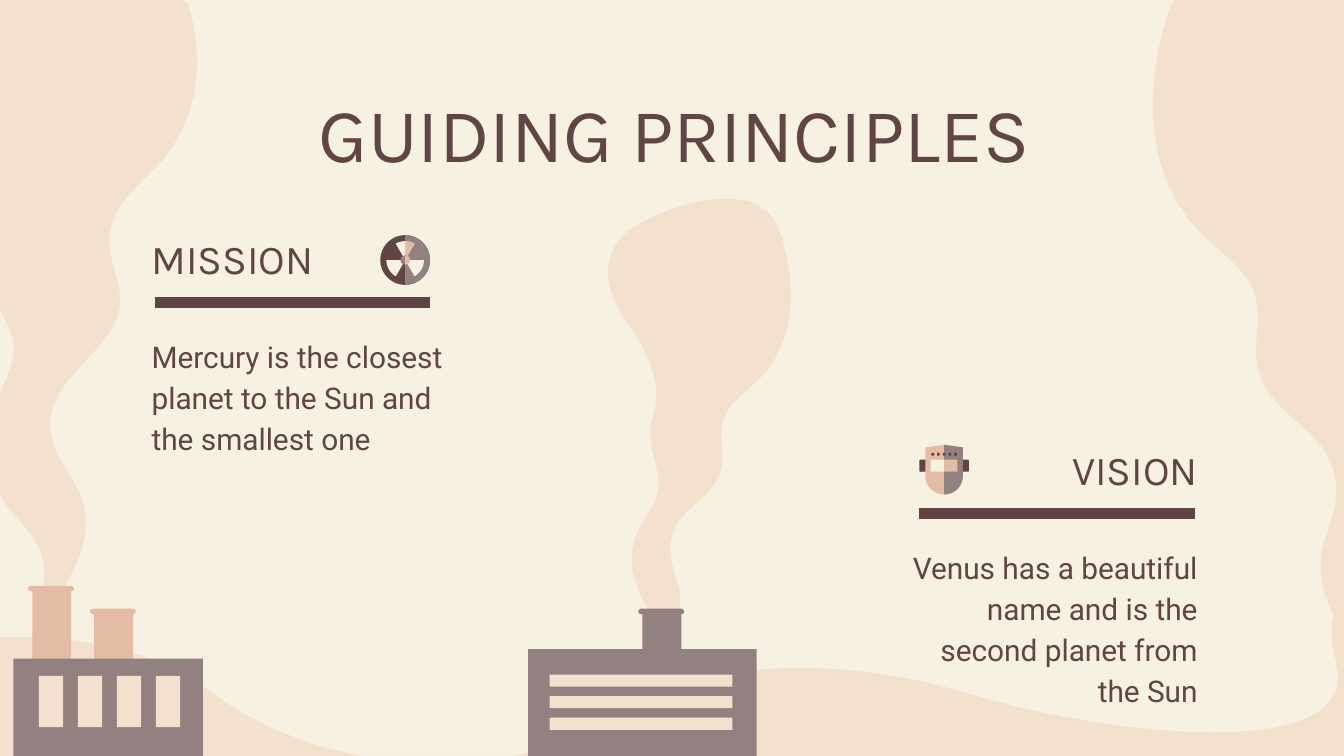
from math import cos, radians, sin

from lxml.etree import SubElement
from pptx import Presentation
from pptx.dml.color import RGBColor
from pptx.enum.shapes import MSO_CONNECTOR as Connector, MSO_SHAPE as Shape
from pptx.enum.text import MSO_ANCHOR as Anchor, MSO_AUTO_SIZE as AutoSize, PP_ALIGN as Align
from pptx.oxml.ns import qn
from pptx.util import Inches, Pt

WIDTH = 10
HEIGHT = WIDTH * 9 / 16
COLORS = {"cream": "F6F1E1", "smoke": "F3E1CE", "peach": "E4BBA5", "mauve": "938080", "brown": "614444"}

HILLS = [(-1.02, 4.88), (-1.02, 4.88, -0.51, 4.74, 0.1, 4.74), (0.59, 4.74, 1.14, 4.83, 1.56, 5.14),
         (2.07, 5.53, 2.71, 5.68, 3.27, 5.68), (3.74, 5.68, 4.16, 5.57, 4.39, 5.4),
         (4.73, 5.15, 5.28, 4.97, 5.95, 4.97), (6.31, 4.97, 6.71, 5.02, 7.13, 5.14),
         (7.71, 5.32, 8.45, 5.45, 9.03, 5.45), (9.63, 5.45, 10.05, 5.31, 9.94, 4.92),
         (9.75, 4.3, 10.37, 3.98, 11.25, 3.98), (11.25, 6.45), (-1.02, 6.45)]
RIGHT_SMOKE = [(9.13, -0.3), (9.06, -0.29, 9, -0.27, 8.95, -0.24), (8.78, -0.15, 8.71, 0.03, 8.66, 0.2),
               (8.51, 0.73, 8.54, 1.33, 8.93, 1.73), (9.08, 1.88, 9.28, 2, 9.34, 2.2),
               (9.39, 2.39, 9.31, 2.59, 9.37, 2.78), (9.44, 3.03, 9.74, 3.16, 9.87, 3.38),
               (9.92, 3.47, 9.95, 3.57, 9.94, 3.68), (9.94, 3.84, 9.85, 3.98, 9.83, 4.14),
               (9.8, 4.39, 9.92, 4.61, 10.07, 4.8), (10.7, 4.8), (10.7, -0.3)]
LEFT_SMOKE = [(0.58, -0.78), (0.66, -0.78, 0.74, -0.77, 0.81, -0.75), (1.02, -0.69, 1.14, -0.52, 1.23, -0.37),
              (1.51, 0.13, 1.59, 0.73, 1.21, 1.19), (1.06, 1.36, 0.85, 1.51, 0.82, 1.72),
              (0.78, 1.91, 0.92, 2.1, 0.89, 2.29), (0.85, 2.55, 0.53, 2.73, 0.42, 2.97),
              (0.37, 3.07, 0.36, 3.17, 0.39, 3.27), (0.43, 3.43, 0.55, 3.56, 0.61, 3.71),
              (0.69, 3.96, 0.59, 4.19, 0.45, 4.41), (0.42, 4.46, 0.38, 4.49, 0.35, 4.49),
              (0.29, 4.49, 0.33, 4.31, 0.33, 4.31), (0.33, 4.27, 0.33, 4.22, 0.32, 4.17),
              (0.29, 3.99, 0.13, 3.88, 0.02, 3.72), (-0.11, 3.55, -0.15, 3.33, -0.09, 3.14),
              (-0.03, 2.94, 0.12, 2.75, 0.1, 2.55), (0.07, 2.37, -0.09, 2.22, -0.13, 2.04), (-0.13, -0.78)]
MIDDLE_SMOKE = [(5.52, 1.49), (5.57, 1.49, 5.61, 1.51, 5.64, 1.53), (5.75, 1.58, 5.8, 1.7, 5.83, 1.81),
                (5.93, 2.16, 5.91, 2.56, 5.65, 2.82), (5.55, 2.92, 5.42, 3, 5.38, 3.13),
                (5.35, 3.25, 5.4, 3.39, 5.36, 3.51), (5.32, 3.67, 5.12, 3.76, 5.03, 3.91),
                (5, 3.97, 4.98, 4.04, 4.99, 4.1), (4.99, 4.21, 5.04, 4.3, 5.06, 4.41),
                (5.08, 4.58, 5, 4.72, 4.9, 4.85), (4.88, 4.88, 4.82, 4.91, 4.82, 4.86),
                (4.82, 4.8, 4.86, 4.74, 4.86, 4.68), (4.85, 4.56, 4.78, 4.47, 4.74, 4.36),
                (4.69, 4.24, 4.69, 4.09, 4.74, 3.97), (4.79, 3.85, 4.9, 3.74, 4.9, 3.61),
                (4.91, 3.49, 4.84, 3.37, 4.84, 3.25), (4.83, 3.17, 4.87, 3.08, 4.88, 3),
                (4.9, 2.83, 4.83, 2.66, 4.74, 2.51), (4.66, 2.39, 4.57, 2.27, 4.54, 2.14),
                (4.5, 2, 4.54, 1.84, 4.65, 1.74), (4.69, 1.7, 4.75, 1.67, 4.8, 1.64),
                (4.99, 1.55, 5.19, 1.48, 5.4, 1.48), (5.44, 1.48, 5.48, 1.48, 5.52, 1.49)]


def paint(shape, color):
    """Give a shape a flat fill with no line or shadow."""
    shape.shadow.inherit = False
    shape.fill.solid()
    shape.fill.fore_color.rgb = RGBColor.from_string(COLORS[color])
    shape.line.fill.background()


def block(page, color, left, top, width, height, kind=Shape.RECTANGLE):
    """Add a flat preset shape."""
    shape = page.shapes.add_shape(kind, Inches(left), Inches(top), Inches(width), Inches(height))
    paint(shape, color)
    return shape


def outline(page, color, points):
    """Add a closed polygon through the points."""
    builder = page.shapes.build_freeform(Inches(points[0][0]), Inches(points[0][1]))
    builder.add_line_segments([(Inches(x), Inches(y)) for x, y in points[1:]])
    paint(builder.convert_to_shape(), color)


def curved(page, color, segments, steps=12):
    """Add a shape of lines and Bezier curves, kept within the slide."""
    points = [segments[0]]
    for segment in segments[1:]:
        if len(segment) == 2:
            points.append(segment)
            continue
        controls = [points[-1], segment[:2], segment[2:4], segment[4:]]
        for step in range(1, steps + 1):
            t = step / steps
            weights = ((1 - t) ** 3, 3 * t * (1 - t) ** 2, 3 * t * t * (1 - t), t ** 3)
            points.append(tuple(sum(w * c[axis] for w, c in zip(weights, controls)) for axis in (0, 1)))
    outline(page, color, [(min(max(x, 0), WIDTH), min(max(y, 0), HEIGHT)) for x, y in points])


def arc(x, y, radius, start, end):
    """Return points along an arc, with degrees running clockwise from the right."""
    return [(x + radius * cos(radians(a)), y + radius * sin(radians(a))) for a in range(start, end + 1, 5)]


def chimney(page, color, left, top, height):
    """Add a chimney with a rounded cap."""
    block(page, color, left + 0.03, top + 0.02, 0.29, height)
    block(page, color, left, top, 0.34, 0.04, Shape.ROUNDED_RECTANGLE).adjustments[0] = 0.5


def left_factory(page, left, top):
    """Add the factory with two chimneys and four tall windows."""
    chimney(page, "peach", left + 0.11, top, 0.6)
    chimney(page, "peach", left + 0.57, top + 0.17, 0.43)
    block(page, "mauve", left, top + 0.54, 1.41, HEIGHT - top - 0.54)
    for column in range(4):
        block(page, "smoke", left + 0.19 + 0.29 * column, top + 0.67, 0.18, 0.38)


def middle_factory(page, left, top):
    """Add the factory with one chimney and three long windows."""
    chimney(page, "mauve", left + 0.82, top, 0.4)
    block(page, "mauve", left, top + 0.3, 1.7, HEIGHT - top - 0.3)
    for row in range(3):
        block(page, "smoke", left + 0.16, top + 0.49 + 0.16 * row, 1.36, 0.09)


def radiation_icon(page, left, top):
    """Add the two-tone radiation wheel."""
    radius = 0.37 / 2
    x, y = left + radius, top + radius
    block(page, "brown", left, top, 0.37, 0.37, Shape.OVAL)
    outline(page, "mauve", arc(x, y, radius, -90, 90))
    for color, start, end in (("cream", -120, -60), ("peach", -90, -60), ("cream", 120, 180), ("cream", 0, 60)):
        outline(page, color, [(x, y)] + arc(x, y, 0.14, start, end))
    hub = 0.07 / 2
    block(page, "mauve", x - hub, y - hub, 0.07, 0.07, Shape.OVAL)
    outline(page, "peach", arc(x, y, hub, -90, 90))


def mask_icon(page, left, top):
    """Add the two-tone welding mask."""
    x = left + 0.37 / 2
    for ear in (left, left + 0.31):
        block(page, "brown", ear, top + 0.11, 0.06, 0.09, Shape.ROUNDED_RECTANGLE)
    right_side = [(x, top), (x + 0.14, top + 0.02)]
    outline(page, "peach", right_side + arc(x, top + 0.23, 0.14, 0, 180) + [(x - 0.14, top + 0.02)])
    outline(page, "mauve", right_side + arc(x, top + 0.23, 0.14, 0, 90))
    for dot in range(5):
        block(page, "brown", left + 0.09 + 0.17 / 4 * dot, top + 0.06, 0.02, 0.02)
    block(page, "cream", x - 0.1, top + 0.11, 0.1, 0.09)
    block(page, "peach", x, top + 0.11, 0.1, 0.09)


def write(shape, text, font, size, align, spacing=1.0):
    """Fill a text shape with one styled paragraph."""
    frame = shape.text_frame
    frame.word_wrap = True
    frame.auto_size = AutoSize.NONE
    frame.vertical_anchor = Anchor.TOP
    frame.margin_left = frame.margin_right = frame.margin_top = frame.margin_bottom = Inches(0.1)
    para = frame.paragraphs[0]
    para.alignment, para.line_spacing = align, spacing
    span = para.add_run()
    span.text = text
    span.font.name, span.font.size = font, Pt(size)
    span.font.color.rgb = RGBColor.from_string(COLORS["brown"])


def principle(page, left, top, heading, body, align, heading_left, rule_left):
    """Add a heading, a thick rule and a description."""
    for text, font, size, x, y, width, height in ((heading, "Karla", 22, heading_left, 0, 1.58, 0.54),
                                                  (body, "Roboto", 16, 0, 0.8, 2.44, 1.09)):
        box = page.shapes.add_textbox(Inches(left + x), Inches(top + y), Inches(width), Inches(height))
        write(box, text, font, size, align, 1.15)
    start, level = left + rule_left, Inches(top + 0.67)
    rule = page.shapes.add_connector(Connector.STRAIGHT, Inches(start), level, Inches(start + 2.05), level)
    rule.line.width = Pt(6)
    rule.line.color.rgb = RGBColor.from_string(COLORS["brown"])
    SubElement(rule._element.spPr, qn("a:effectLst"))


def build_page(deck):
    """Add the guiding principles slide."""
    page = deck.slides.add_slide(deck.slide_layouts[5])
    page.background.fill.solid()
    page.background.fill.fore_color.rgb = RGBColor.from_string(COLORS["cream"])
    for smoke in (HILLS, RIGHT_SMOKE, LEFT_SMOKE, MIDDLE_SMOKE):
        curved(page, "smoke", smoke)
    left_factory(page, 0.1, 4.36)
    middle_factory(page, 3.93, 4.53)
    title = page.shapes.title
    title.left, title.top, title.width, title.height = Inches(0.59), Inches(0.54), Inches(8.86), Inches(0.63)
    write(title, "GUIDING PRINCIPLES", "Karla", 41, Align.CENTER)
    principle(page, 1.03, 1.58, "MISSION", "Mercury is the closest planet to the Sun and the smallest one",
              Align.LEFT, 0, 0.12)
    principle(page, 6.57, 3.15, "VISION", "Venus has a beautiful name and is the second planet from the Sun",
              Align.RIGHT, 0.86, 0.27)
    radiation_icon(page, 2.83, 1.75)
    mask_icon(page, 6.84, 3.31)


def main():
    """Build and save the deck."""
    deck = Presentation()
    deck.slide_width, deck.slide_height = Inches(WIDTH), Inches(HEIGHT)
    build_page(deck)
    deck.save("out.pptx")


if __name__ == "__main__":
    main()
